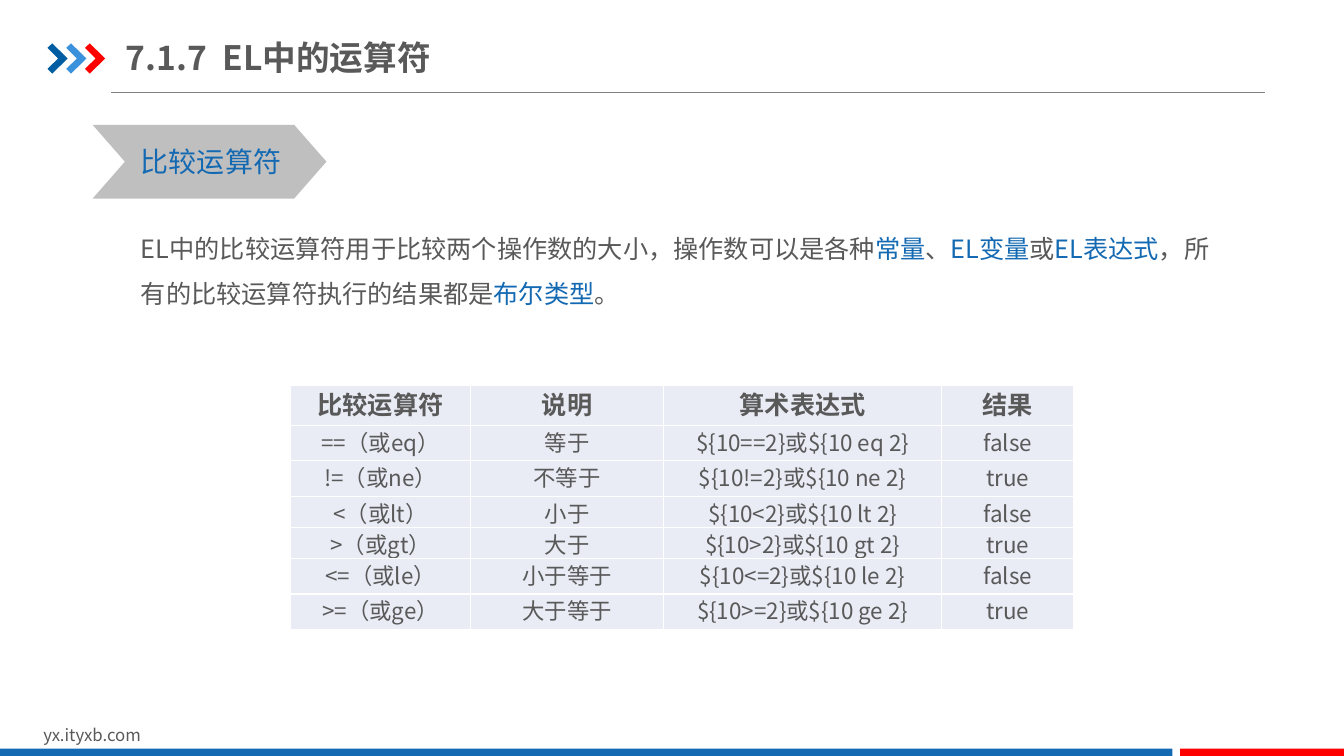
"""Build the slide on comparison operators in EL."""
from lxml import etree
from pptx import Presentation
from pptx.dml.color import RGBColor
from pptx.enum.shapes import MSO_CONNECTOR, MSO_SHAPE
from pptx.enum.text import MSO_ANCHOR, MSO_AUTO_SIZE, PP_ALIGN
from pptx.oxml.ns import qn
from pptx.util import Pt

RECT, CHEVRON = MSO_SHAPE.RECTANGLE, MSO_SHAPE.CHEVRON
STRAIGHT = MSO_CONNECTOR.STRAIGHT
MIDDLE, NO_FIT = MSO_ANCHOR.MIDDLE, MSO_AUTO_SIZE.NONE
LEFT, CENTER = PP_ALIGN.LEFT, PP_ALIGN.CENTER
FONT = "Noto Sans CJK SC"
COLORS = {
    "text": "595959", "blue": "1369B2", "red": "FF0000", "navy": "005DA2",
    "sky": "3992DB", "rule": "808080", "tag": "BFBFBF", "cell": "E9EBF5",
}


def set_font(p, size, color="text", bold=False):
    """Set the font of a whole paragraph."""
    f = p.font
    f.name, f.size, f.bold = FONT, Pt(size), bold
    f.color.rgb = RGBColor.from_string(COLORS[color])
    etree.SubElement(f._element, qn("a:ea"), typeface=FONT)


def paint(sp, color):
    """Give a shape a flat fill without line or shadow."""
    sp.shadow.inherit = False
    sp.fill.solid()
    sp.fill.fore_color.rgb = RGBColor.from_string(COLORS[color])
    sp.line.fill.background()


prs = Presentation()
prs.slide_width, prs.slide_height = Pt(960), Pt(540)
s = prs.slides.add_slide(prs.slide_layouts[5])

rule = s.shapes.add_connector(STRAIGHT, Pt(79.2), Pt(65.8), Pt(903.6), Pt(65.8))
rule.line.color.rgb = RGBColor.from_string(COLORS["rule"])
rule.line.width = Pt(0.5)
etree.SubElement(rule._element.spPr, qn("a:effectLst"))

ARROW = [(0, 3.2), (3.5, 0), (14.4, 10.8), (3.5, 21.6), (0, 18.2), (7.7, 10.8)]
for i, color in enumerate(["navy", "sky", "red"]):
    pts = [(Pt(33.9 + 13.4 * i + x), Pt(31 + y)) for x, y in ARROW]
    fb = s.shapes.build_freeform(*pts[0])
    fb.add_line_segments(pts[1:], close=True)
    paint(fb.convert_to_shape(), color)

for shape, x, y, w, h, color in [
    (RECT, 0, 534.7, 837.4, 6.3, "blue"),
    (RECT, 843, 534.7, 117, 6.3, "red"),
    (CHEVRON, 66.2, 89.2, 167, 52.6, "tag"),
]:
    sp = s.shapes.add_shape(shape, Pt(x), Pt(y), Pt(w), Pt(h))
    paint(sp, color)
sp.adjustments[0] = 0.438

for text, x, y, w, h, size, color, wrap in [
    ("yx.ityxb.com", 23.8, 514, 229, 21.8, 12, "text", True),
    ("比较运算符", 93.6, 100, 115.2, 31.5, 20, "blue", False),
]:
    tf = s.shapes.add_textbox(Pt(x), Pt(y), Pt(w), Pt(h)).text_frame
    tf.word_wrap = wrap
    tf.text = text
    set_font(tf.paragraphs[0], size, color)

title = s.shapes.title
title.left, title.top, title.width, title.height = Pt(90), Pt(20.9), Pt(248), Pt(39.6)
tf = title.text_frame
tf.text = "7.1.7  EL中的运算符"
tf.auto_size, tf.vertical_anchor = NO_FIT, MIDDLE
tf.margin_left = tf.margin_right = 0
tf.margin_top = tf.margin_bottom = Pt(5)
tf.paragraphs[0].alignment = LEFT
set_font(tf.paragraphs[0], 24, bold=True)

ROWS = [
    ("比较运算符", "说明", "算术表达式", "结果"),
    ("==（或eq）", "等于", "${10==2}或${10 eq 2}", "false"),
    ("!=（或ne）", "不等于", "${10!=2}或${10 ne 2}", "true"),
    ("<（或lt）", "小于", "${10<2}或${10 lt 2}", "false"),
    (">（或gt）", "大于", "${10>2}或${10 gt 2}", "true"),
    ("<=（或le）", "小于等于", "${10<=2}或${10 le 2}", "false"),
    (">=（或ge）", "大于等于", "${10>=2}或${10 ge 2}", "true"),
]
WIDTHS = [128.5, 138, 198.5, 94.5]
HEIGHTS = [28.5, 25.3, 25.3, 22.3, 22.3, 25.3, 25.3]
table = s.shapes.add_table(len(ROWS), len(WIDTHS), Pt(207.6), Pt(275.4),
                           Pt(sum(WIDTHS)), Pt(sum(HEIGHTS))).table
table.first_row = table.horz_banding = False
for col, width in zip(table.columns, WIDTHS):
    col.width = Pt(width)
for i, (texts, height) in enumerate(zip(ROWS, HEIGHTS)):
    table.rows[i].height = Pt(height)
    for cell, text in zip(table.rows[i].cells, texts):
        cell.text = text
        cell.margin_left = cell.margin_right = Pt(5)
        cell.margin_top = cell.margin_bottom = 0
        cell.fill.solid()
        cell.fill.fore_color.rgb = RGBColor.from_string(COLORS["cell"])
        p = cell.text_frame.paragraphs[0]
        p.alignment = CENTER
        set_font(p, 16 if i else 18, bold=i == 0)

tf = s.shapes.add_textbox(Pt(93.6), Pt(152), Pt(790.5), Pt(72)).text_frame
tf.word_wrap = True
p = tf.paragraphs[0]
p.line_spacing = 1.5
set_font(p, 18)
for text, color in [
    ("EL中的比较运算符用于比较两个操作数的大小，操作数可以是各种", "text"),
    ("常量", "blue"),
    ("、", "text"),
    ("EL变量", "blue"),
    ("或", "text"),
    ("EL表达式", "blue"),
    ("，所有的比较运算符执行的结果都是", "text"),
    ("布尔类型", "blue"),
    ("。", "text"),
]:
    r = p.add_run()
    r.text = text
    r.font.color.rgb = RGBColor.from_string(COLORS[color])

prs.save("out.pptx")
